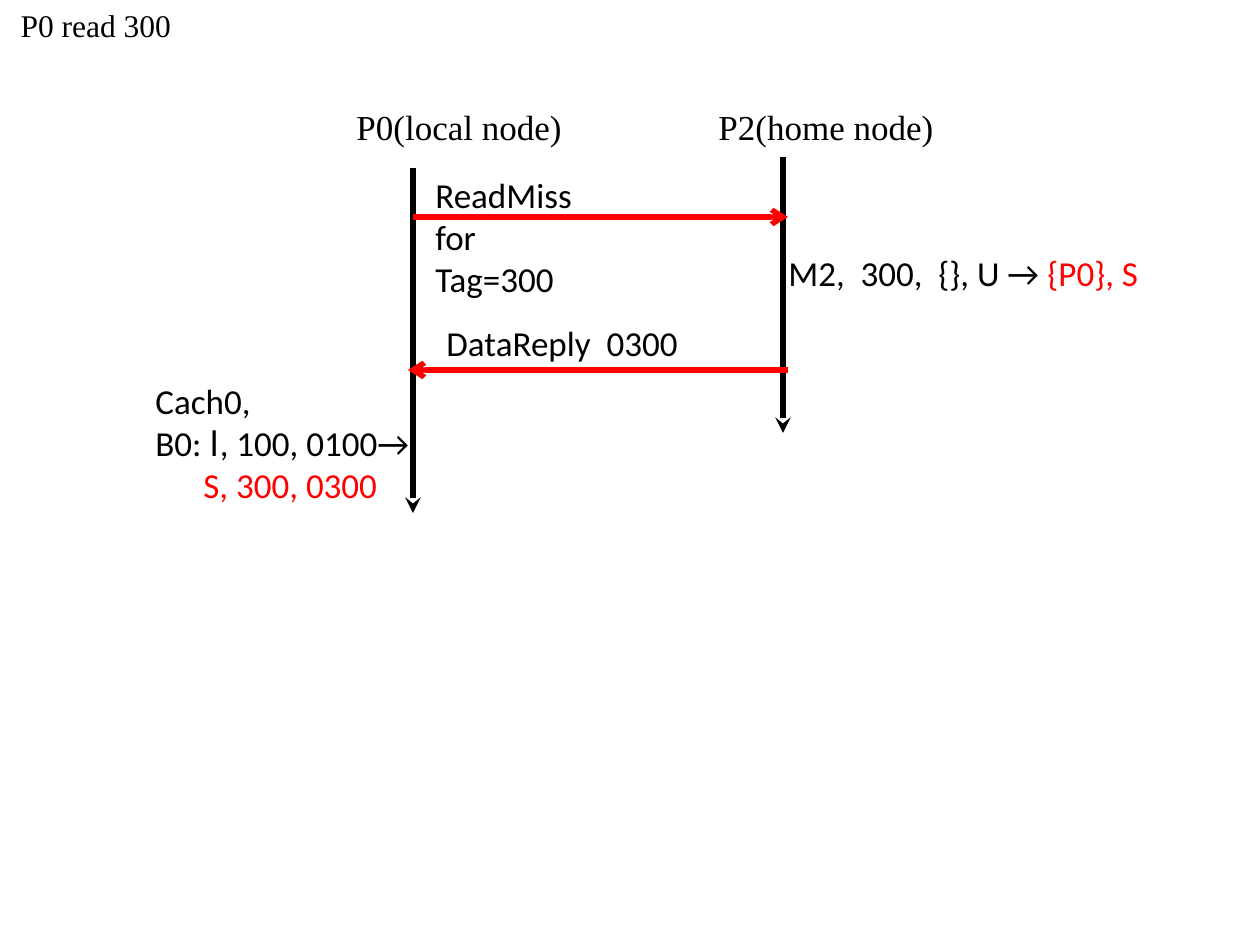
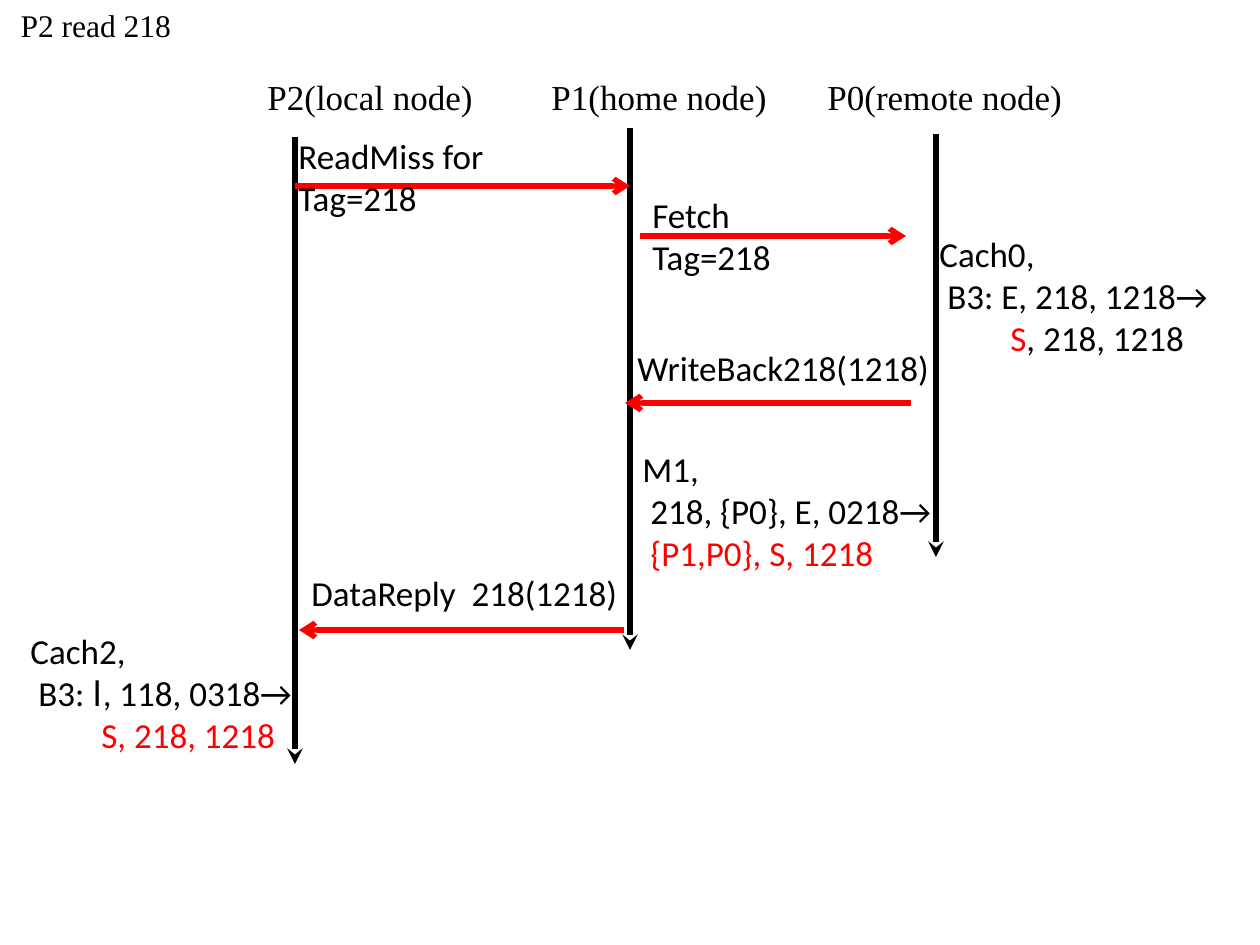
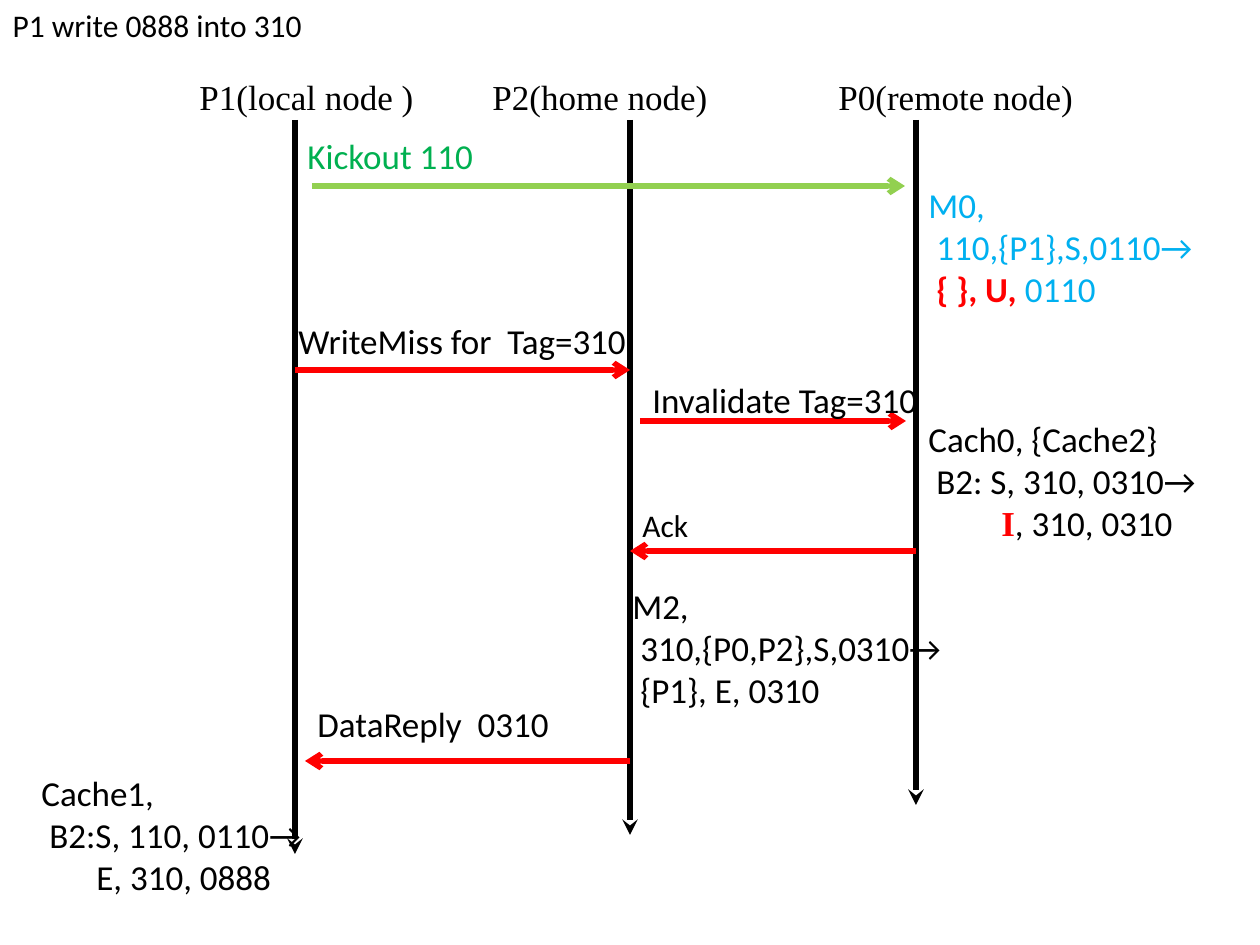
from dataclasses import dataclass
from typing import NamedTuple

from lxml import etree
from pptx import Presentation
from pptx import util as u
from pptx.dml.color import RGBColor
from pptx.enum import shapes, text
from pptx.oxml import ns

# Shared look
BLACK = RGBColor(0x00, 0x00, 0x00)
RED = RGBColor(0xFF, 0x00, 0x00)
GREEN = RGBColor(0x00, 0xB0, 0x50)
LIME = RGBColor(0x92, 0xD0, 0x50)
BLUE = RGBColor(0x00, 0xB0, 0xF0)
SANS, SERIF, CJK = "Calibri", "Times New Roman", "Noto Sans CJK JP"
PX_PER_INCH = 126
SLIDE_W, SLIDE_H = 1260, 945
ROW_H, PADDING = 42, 13
ROLE_W, TITLE_W, TITLE_H = 260, 340, 50


class Run(NamedTuple):
    text: str
    color: RGBColor = BLACK
    font: str = SANS
    bold: bool = False
    size: int = 20


class Line(NamedTuple):
    runs: list[Run]
    indent: int = 0


@dataclass
class Note:
    """State of a cache block or directory entry."""
    x: int
    y: int
    w: int
    lines: list[Line]


@dataclass
class Node:
    """Heading of a processor and its lifeline."""
    role: str
    role_x: int
    x: int
    top: int
    bottom: int


@dataclass
class Message:
    """Arrow between two lifelines, with its label."""
    start: int
    end: int
    y: int
    label: Run
    label_x: int
    label_y: int
    label_w: int
    rows: int = 1
    color: RGBColor = RED


@dataclass
class Diagram:
    title: Run
    title_x: int
    role_y: int
    nodes: list[Node]
    messages: list[Message]
    notes: list[Note]


def px(n: int) -> u.Emu:
    return u.Emu(round(n * 914400 / PX_PER_INCH))


def apply(obj, **formats) -> None:
    for name, value in formats.items():
        setattr(obj, name, value)


def write(tf, lines: list[Line]) -> None:
    apply(tf, word_wrap=True, auto_size=text.MSO_AUTO_SIZE.NONE,
          vertical_anchor=text.MSO_ANCHOR.TOP)
    for i, line in enumerate(lines):
        p = tf.add_paragraph() if i else tf.paragraphs[0]
        p.alignment = text.PP_ALIGN.LEFT
        if line.indent:
            pPr = p._p.get_or_add_pPr()
            pPr.set("marL", str(px(line.indent)))
            pPr.set("indent", "0")
        for run in line.runs:
            r = p.add_run()
            r.text = run.text
            apply(r.font, name=run.font, size=u.Pt(run.size), bold=run.bold)
            r.font.color.rgb = run.color


def add_text(s, x: int, y: int, w: int, lines: list[Line], rows: int = 0) -> None:
    h = PADDING + ROW_H * (rows or len(lines))
    sp = s.shapes.add_textbox(px(x), px(y), px(w), px(h))
    write(sp.text_frame, lines)


def add_arrow(s, x1: int, y1: int, x2: int, y2: int, color: RGBColor, head: str) -> None:
    sp = s.shapes.add_connector(shapes.MSO_CONNECTOR.STRAIGHT,
                                px(x1), px(y1), px(x2), px(y2))
    sp.line.width = u.Pt(3)
    sp.line.color.rgb = color
    etree.SubElement(sp.line._get_or_add_ln(), ns.qn("a:tailEnd"), type=head)
    etree.SubElement(sp._element.spPr, ns.qn("a:effectLst"))


def add_diagram(prs, d: Diagram) -> None:
    s = prs.slides.add_slide(prs.slide_layouts[5])
    # Title
    title = s.shapes.title
    apply(title, left=px(d.title_x), top=px(0), width=px(TITLE_W), height=px(TITLE_H))
    write(title.text_frame, [Line([d.title])])
    # Headings and lifelines
    for n in d.nodes:
        add_text(s, n.role_x, d.role_y, ROLE_W, [Line([Run(n.role, font=SERIF)])])
        add_arrow(s, n.x, n.top, n.x, n.bottom, BLACK, "stealth")
    # Messages
    for m in d.messages:
        add_arrow(s, m.start, m.y, m.end, m.y, m.color, "arrow")
        add_text(s, m.label_x, m.label_y, m.label_w, [Line([m.label])], m.rows)
    # State changes
    for note in d.notes:
        add_text(s, note.x, note.y, note.w, note.lines)


DIAGRAMS = [
    # Read miss served by the home node
    Diagram(
        Run("P0 read 300", font=SERIF, size=18), 8, 99,
        [Node("P0(local node)", 344, 413, 168, 513),
         Node("P2(home node)", 706, 783, 157, 433)],
        [Message(413, 788, 217, Run("ReadMiss for  Tag=300"), 423, 167, 179, rows=3),
         Message(788, 408, 370, Run("DataReply  0300"), 434, 315, 260)],
        [Note(776, 245, 388, [
            Line([Run("M2,  300,  {}, U → "), Run("{P0}, S", RED)])]),
         Note(143, 373, 314, [
             Line([Run("Cach0,")]),
             Line([Run("B0: "), Run("I", font=CJK), Run(", 100, 0100→")]),
             Line([Run("S, 300, 0300", RED)], 48)])]),
    # Read miss with a dirty remote block
    Diagram(
        Run("P2 read 218", font=SERIF, size=18), 8, 69,
        [Node("P2(local node)", 255, 295, 137, 764),
         Node("P1(home node)", 539, 630, 128, 650),
         Node("P0(remote node)", 815, 936, 134, 557)],
        [Message(295, 630, 186, Run("ReadMiss for  Tag=218"), 286, 128, 311, rows=2),
         Message(640, 906, 236, Run("Fetch  Tag=218"), 640, 187, 202, rows=2),
         Message(911, 625, 403, Run("WriteBack218(1218)"), 625, 340, 320),
         Message(624, 299, 630, Run("DataReply  218(1218)"), 299, 565, 334)],
        [Note(927, 226, 305, [
            Line([Run("Cach0,")]),
            Line([Run("B3: E, 218, 1218→")], 8),
            Line([Run("S", RED), Run(", 218, 1218")], 71)]),
         Note(630, 441, 328, [
             Line([Run("M1,")]),
             Line([Run("218, {P0}, E, 0218→")], 8),
             Line([Run("{P1,P0}, S, 1218", RED)], 8)]),
         Note(18, 623, 305, [
             Line([Run("Cach2,")]),
             Line([Run("B3: "), Run("I", font=CJK), Run(", 118, 0318→")], 8),
             Line([Run("S, 218, 1218", RED)], 71)])]),
    # Write miss with eviction and invalidation
    Diagram(
        Run("P1 write 0888 into 310", size=18), 0, 69,
        [Node("P1(local node )", 187, 295, 120, 854),
         Node("P2(home node)", 480, 630, 120, 835),
         Node("P0(remote node)", 826, 916, 120, 805)],
        [Message(312, 905, 186, Run("Kickout 110", GREEN), 295, 128, 193, color=LIME),
         Message(295, 630, 370, Run("WriteMiss for  Tag=310"), 286, 313, 357),
         Message(640, 906, 421, Run("Invalidate Tag=310"), 640, 372, 301),
         Message(916, 630, 551, Run("Ack", size=18), 630, 500, 80),
         Message(630, 305, 761, Run("DataReply  0310"), 305, 696, 286)],
        [Note(916, 177, 295, [
            Line([Run("M0,", BLUE)]),
            Line([Run("110,{P1},S,0110→", BLUE)], 8),
            Line([Run("{ }, U, ", RED, bold=True), Run("0110", BLUE)], 8)]),
         Note(916, 411, 305, [
             Line([Run("Cach0, {Cache2}")]),
             Line([Run("B2: S, 310, 0310→")], 8),
             Line([Run("I", RED, SERIF, True), Run(", 310, 0310")], 73)]),
         Note(620, 578, 339, [
             Line([Run("M2,")]),
             Line([Run("310,{P0,P2},S,0310→")], 8),
             Line([Run("{P1}, E, 0310")], 8)]),
         Note(29, 765, 305, [
             Line([Run("Cache1,")]),
             Line([Run("B2:S, 110, 0110→")], 8),
             Line([Run("E, 310, 0888")], 55)])]),
]


def main() -> None:
    prs = Presentation()
    apply(prs, slide_width=px(SLIDE_W), slide_height=px(SLIDE_H))
    for d in DIAGRAMS:
        add_diagram(prs, d)
    prs.save("out.pptx")


if __name__ == "__main__":
    main()
